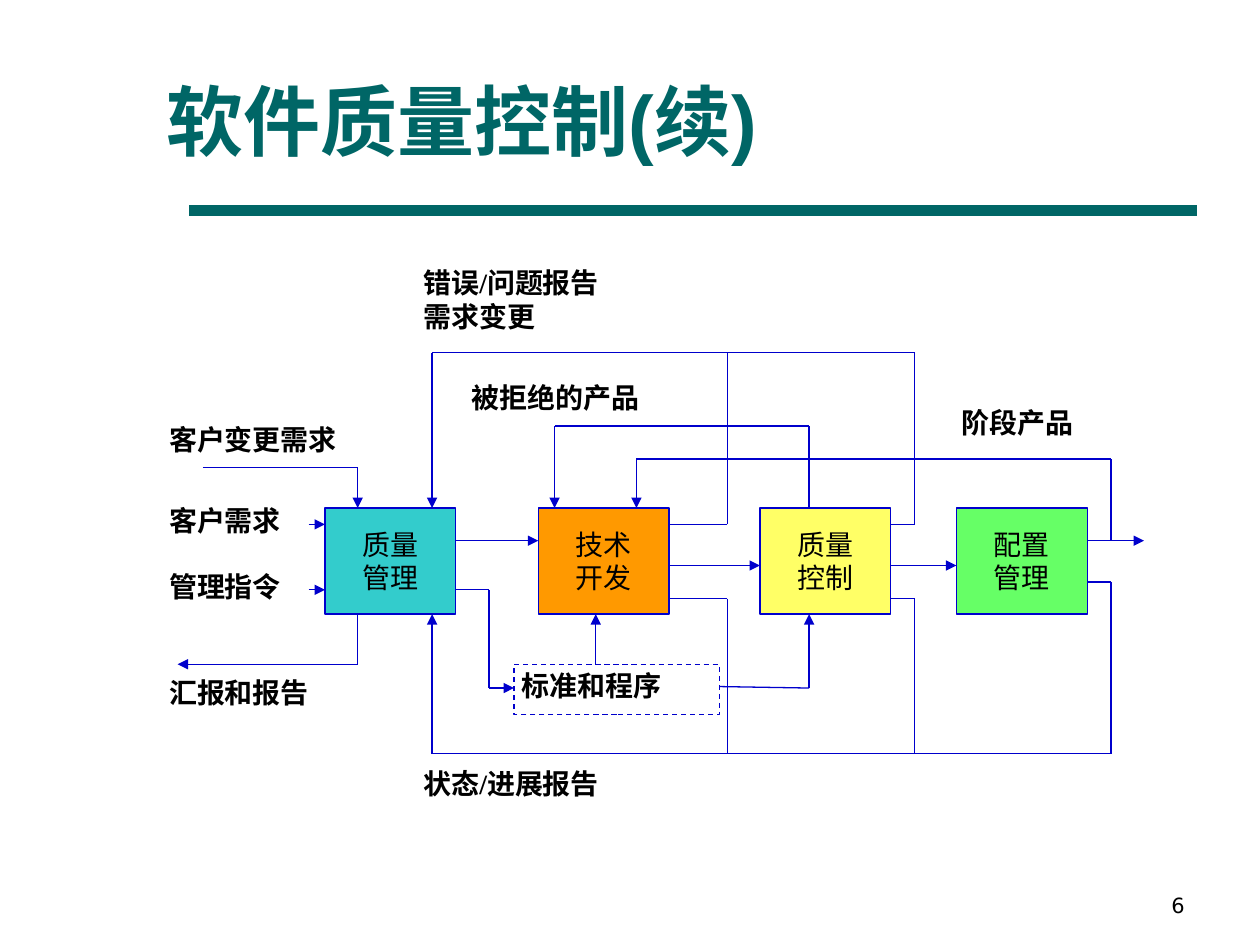
from dataclasses import dataclass

from lxml import etree
from pptx import Presentation
from pptx.dml.color import RGBColor
from pptx.enum import dml, shapes, text
from pptx.oxml import ns
from pptx.util import Cm, Pt

BLACK = RGBColor(0x00, 0x00, 0x00)
TEAL = RGBColor(0x00, 0x66, 0x66)
BLUE = RGBColor(0x00, 0x00, 0xCC)
CYAN = RGBColor(0x33, 0xCC, 0xCC)
ORANGE = RGBColor(0xFF, 0x99, 0x00)
YELLOW = RGBColor(0xFF, 0xFF, 0x66)
GREEN = RGBColor(0x66, 0xFF, 0x66)

BOX_W, BOX_H, BOX_TOP = 2.64, 2.14, 10.24
BOX_BOTTOM = BOX_TOP + BOX_H
MANAGE_X, DEVELOP_X, CONTROL_X, CONFIG_X = 6.55, 10.85, 15.32, 19.28
MANAGE_R, DEVELOP_R, CONTROL_R, CONFIG_R = (
    x + BOX_W for x in (MANAGE_X, DEVELOP_X, CONTROL_X, CONFIG_X))
CHANGE_X, REPORT_X, DEVELOP_OUT, CONTROL_OUT, CONFIG_OUT = 7.21, 8.71, 14.66, 18.44, 22.4
CONTROL_MID = 16.31
PORT_1, PORT_2, PORT_3, PORT_4, PORT_5 = 10.57, 10.9, 11.4, 11.89, 12.07
ERROR_Y, REJECT_Y, STAGE_Y, CHANGE_Y = 7.11, 8.59, 9.25, 9.42
STANDARD_X, STANDARD_Y, STANDARD_W, STANDARD_H = 10.36, 13.39, 4.14, 1.02
STANDARD_MID = 13.87
STATUS_Y = 15.19


@dataclass
class Box:
    left: float
    lines: list[str]
    color: RGBColor


@dataclass
class Label:
    left: float
    top: float
    width: float
    lines: list[str]
    height: float = 0.99


@dataclass
class Route:
    points: list[tuple[float, float]]
    arrow: bool = True


BOXES = [
    Box(MANAGE_X, ["质量", "管理"], CYAN),
    Box(DEVELOP_X, ["技术", "开发"], ORANGE),
    Box(CONTROL_X, ["质量", "控制"], YELLOW),
    Box(CONFIG_X, ["配置", "管理"], GREEN),
]

LABELS = [
    Label(3.25, 8.43, 4.8, ["客户变更需求"]),
    Label(3.25, 10.08, 3.94, ["客户需求"]),
    Label(3.25, 11.4, 3.94, ["管理指令"]),
    Label(3.25, 13.54, 4.37, ["汇报和报告"]),
    Label(8.38, 5.28, 5.69, ["错误/问题报告", "需求变更"], 1.78),
    Label(9.35, 7.59, 5.23, ["被拒绝的产品"]),
    Label(8.38, 15.37, 5.26, ["状态/进展报告"]),
    Label(19.23, 8.1, 3.86, ["阶段产品"]),
]

ROUTES = [
    Route([(6.22, PORT_1), (MANAGE_X, PORT_1)]),
    Route([(6.22, PORT_4), (MANAGE_X, PORT_4)]),
    Route([(MANAGE_R, PORT_2), (DEVELOP_X, PORT_2)]),
    Route([(DEVELOP_R, PORT_3), (CONTROL_X, PORT_3)]),
    Route([(CONTROL_R, PORT_3), (CONFIG_X, PORT_3)]),
    Route([(CONFIG_R, PORT_2), (23.06, PORT_2)]),
    Route([(4.09, CHANGE_Y), (CHANGE_X, CHANGE_Y), (CHANGE_X, BOX_TOP)]),
    Route([(CHANGE_X, BOX_BOTTOM), (CHANGE_X, STANDARD_Y), (3.58, STANDARD_Y)]),
    Route([(CONTROL_R, PORT_1), (CONTROL_OUT, PORT_1), (CONTROL_OUT, ERROR_Y),
           (REPORT_X, ERROR_Y), (REPORT_X, BOX_TOP)]),
    Route([(DEVELOP_R, PORT_1), (DEVELOP_OUT, PORT_1), (DEVELOP_OUT, ERROR_Y)], False),
    Route([(CONTROL_MID, BOX_TOP), (CONTROL_MID, REJECT_Y),
           (11.18, REJECT_Y), (11.18, BOX_TOP)]),
    Route([(CONFIG_OUT, PORT_2), (CONFIG_OUT, STAGE_Y),
           (12.83, STAGE_Y), (12.83, BOX_TOP)]),
    Route([(MANAGE_R, PORT_4), (9.86, PORT_4), (9.86, STANDARD_MID),
           (STANDARD_X, STANDARD_MID)]),
    Route([(12.01, STANDARD_Y), (12.01, BOX_BOTTOM)]),
    Route([(STANDARD_X + STANDARD_W, 13.84), (CONTROL_MID, STANDARD_MID),
           (CONTROL_MID, BOX_BOTTOM)]),
    Route([(CONFIG_R, 11.73), (CONFIG_OUT, 11.73), (CONFIG_OUT, STATUS_Y),
           (REPORT_X, STATUS_Y), (REPORT_X, BOX_BOTTOM)]),
    Route([(DEVELOP_R, PORT_5), (DEVELOP_OUT, PORT_5), (DEVELOP_OUT, STATUS_Y)], False),
    Route([(CONTROL_R, PORT_5), (CONTROL_OUT, PORT_5), (CONTROL_OUT, STATUS_Y)], False),
]


def write(sp, lines: list[str], align, bold: bool = False, size: float = 16,
          font: str = "Times New Roman", color: RGBColor = BLACK) -> None:
    tf = sp.text_frame
    tf.word_wrap = True
    tf.text = "\n".join(lines)
    for p in tf.paragraphs:
        p.alignment = align
        p.font.name = font
        p.font.size = Pt(size)
        p.font.bold = bold
        p.font.color.rgb = color


def set_insets(sp) -> None:
    tf = sp.text_frame
    tf.margin_left = tf.margin_right = Cm(0.16)
    tf.margin_top = tf.margin_bottom = Cm(0.08)


def add_rect(s, left: float, top: float, width: float, height: float):
    sp = s.shapes.add_shape(shapes.MSO_SHAPE.RECTANGLE,
                            Cm(left), Cm(top), Cm(width), Cm(height))
    sp.shadow.inherit = False
    sp.line.color.rgb = BLUE
    sp.line.width = Pt(0.75)
    set_insets(sp)
    return sp


def add_box(s, box: Box) -> None:
    sp = add_rect(s, box.left, BOX_TOP, BOX_W, BOX_H)
    sp.fill.solid()
    sp.fill.fore_color.rgb = box.color
    sp.text_frame.vertical_anchor = text.MSO_ANCHOR.MIDDLE
    write(sp, box.lines, text.PP_ALIGN.CENTER)


def add_label(s, label: Label) -> None:
    sp = s.shapes.add_textbox(Cm(label.left), Cm(label.top), Cm(label.width), Cm(label.height))
    set_insets(sp)
    write(sp, label.lines, text.PP_ALIGN.JUSTIFY, bold=True)


def add_line(s, start: tuple[float, float], end: tuple[float, float],
             color: RGBColor = BLUE, width: float = 0.75, arrow: bool = False) -> None:
    sp = s.shapes.add_connector(shapes.MSO_CONNECTOR.STRAIGHT,
                                *(Cm(v) for v in (*start, *end)))
    sp.line.color.rgb = color
    sp.line.width = Pt(width)
    if arrow:
        etree.SubElement(sp.line._get_or_add_ln(), ns.qn("a:tailEnd"), type="triangle")
    etree.SubElement(sp._element.spPr, ns.qn("a:effectLst"))


def add_route(s, route: Route) -> None:
    last = len(route.points) - 2
    for i, (start, end) in enumerate(zip(route.points, route.points[1:])):
        add_line(s, start, end, arrow=route.arrow and i == last)


def main() -> None:
    prs = Presentation()
    prs.slide_width, prs.slide_height = Cm(25.4), Cm(19.05)
    s = prs.slides.add_slide(prs.slide_layouts[5])

    add_line(s, (3.81, 4.24), (24.13, 4.24), TEAL, 6)

    title = s.shapes.title
    title.left, title.top, title.width, title.height = Cm(3.1), Cm(0.3), Cm(21.59), Cm(3.18)
    title.text_frame.auto_size = text.MSO_AUTO_SIZE.NONE
    title.text_frame.vertical_anchor = text.MSO_ANCHOR.BOTTOM
    write(title, ["软件质量控制(续)"], text.PP_ALIGN.LEFT, True, 44, "Arial", TEAL)

    number = s.shapes.add_textbox(Cm(18.21), Cm(17.35), Cm(5.92), Cm(1.27))
    number.text_frame.vertical_anchor = text.MSO_ANCHOR.BOTTOM
    write(number, ["6"], text.PP_ALIGN.RIGHT, size=12, font="DejaVu Sans")

    for box in BOXES:
        add_box(s, box)
    for label in LABELS:
        add_label(s, label)

    standard = add_rect(s, STANDARD_X, STANDARD_Y, STANDARD_W, STANDARD_H)
    standard.fill.background()
    standard.line.dash_style = dml.MSO_LINE.DASH
    standard.text_frame.vertical_anchor = text.MSO_ANCHOR.TOP
    write(standard, ["标准和程序"], text.PP_ALIGN.JUSTIFY, bold=True)

    for route in ROUTES:
        add_route(s, route)

    prs.save("out.pptx")


if __name__ == "__main__":
    main()
